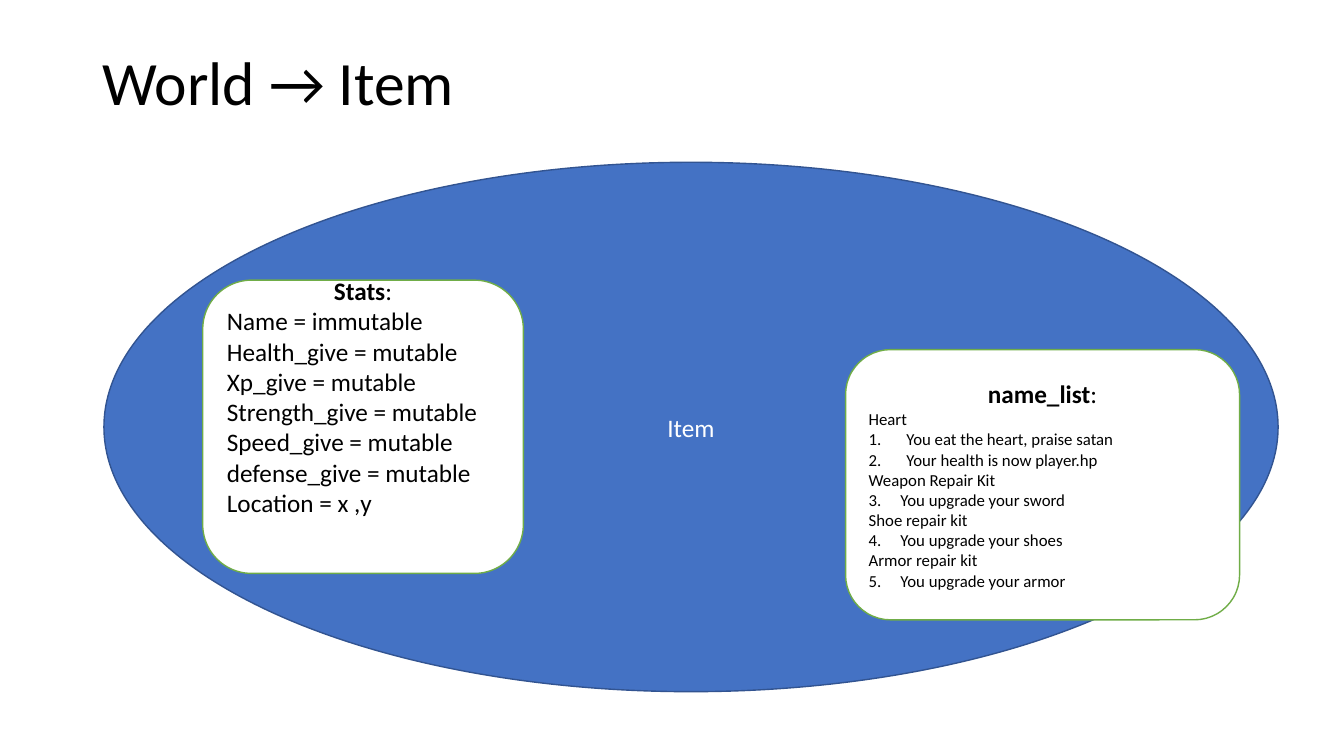
from dataclasses import dataclass

from lxml.etree import SubElement
from pptx import Presentation
from pptx.dml.color import RGBColor
from pptx.enum.shapes import MSO_SHAPE
from pptx.enum.text import MSO_ANCHOR, MSO_AUTO_SIZE, PP_ALIGN
from pptx.oxml.ns import qn
from pptx.util import Cm, Pt

BLACK = RGBColor(0x00, 0x00, 0x00)
WHITE = RGBColor(0xFF, 0xFF, 0xFF)
BLUE = RGBColor(0x44, 0x72, 0xC4)
DARK_BLUE = RGBColor(0x32, 0x54, 0x91)
GREEN = RGBColor(0x70, 0xAD, 0x47)
FONT = "Calibri"


@dataclass
class Line:
    text: str
    number: int = 0  # list number, 0 for plain text
    start: int = 0  # number its list starts at
    indent: float = 0.8


@dataclass
class Card:
    box: tuple[float, float, float, float]
    heading: str
    lines: list[Line]
    size: int
    bottom: float = 0.13


CARDS = [
    Card((5.11, 7.06, 8.08, 7.39), "Stats", [
        Line("Name = immutable"),
        Line("Health_give = mutable"),
        Line("Xp_give = mutable"),
        Line("Strength_give = mutable"),
        Line("Speed_give = mutable"),
        Line("defense_give = mutable"),
        Line("Location = x ,y"),
    ], size=18, bottom=1.65),
    Card((21.31, 8.81, 9.93, 6.81), "name_list", [
        Line("Heart"),
        Line("You eat the heart, praise satan", 1, 1, 0.95),
        Line("Your health is now player.hp", 2, 1, 0.95),
        Line("Weapon Repair Kit"),
        Line("You upgrade your sword", 3, 3),
        Line("Shoe repair kit"),
        Line("You upgrade your shoes", 4, 4),
        Line("Armor repair kit"),
        Line("You upgrade your armor", 5, 5),
    ], size=12),
]


def format_run(r, size: int, color: RGBColor, bold: bool = False) -> None:
    r.font.name = FONT
    r.font.size = Pt(size)
    r.font.bold = bold
    r.font.color.rgb = color


def add_box(s, kind: MSO_SHAPE, box: tuple, fill: RGBColor, line: RGBColor):
    sp = s.shapes.add_shape(kind, *(Cm(v) for v in box))
    sp.shadow.inherit = False
    sp.fill.solid()
    sp.fill.fore_color.rgb = fill
    sp.line.color.rgb = line
    sp.line.width = Pt(1)
    sp.text_frame.word_wrap = True
    sp.text_frame.vertical_anchor = MSO_ANCHOR.MIDDLE
    return sp


def set_number(p, line: Line) -> None:
    pPr = p._p.get_or_add_pPr()
    pPr.set("marL", str(Cm(line.indent)))
    pPr.set("indent", str(-Cm(line.indent)))
    bullet = SubElement(pPr, qn("a:buAutoNum"), type="arabicPeriod")
    if line.start > 1:
        bullet.set("startAt", str(line.start))


def add_card(s, card: Card) -> None:
    tf = add_box(s, MSO_SHAPE.ROUNDED_RECTANGLE, card.box, WHITE, GREEN).text_frame
    tf.margin_bottom = Cm(card.bottom)
    p = tf.paragraphs[0]
    p.alignment = PP_ALIGN.CENTER
    for text, bold in ((card.heading, True), (":", False)):
        r = p.add_run()
        r.text = text
        format_run(r, 18, BLACK, bold)
    for line in card.lines:
        p = tf.add_paragraph()
        p.text = line.text
        p.alignment = PP_ALIGN.LEFT
        format_run(p.runs[0], card.size, BLACK)
        if line.number:
            set_number(p, line)


prs = Presentation()
prs.slide_width, prs.slide_height = Cm(33.87), Cm(19.05)
s = prs.slides.add_slide(prs.slide_layouts[5])

# Title
title = s.shapes.title
title.left, title.top, title.width, title.height = Cm(2.33), Cm(1.02), Cm(29.21), Cm(2.26)
tf = title.text_frame
tf.text = "World → Item"
tf.auto_size = MSO_AUTO_SIZE.NONE
tf.vertical_anchor = MSO_ANCHOR.MIDDLE
p = tf.paragraphs[0]
p.alignment = PP_ALIGN.LEFT
p.line_spacing = 0.9
format_run(p.runs[0], 44, BLACK)

# Item ellipse
ellipse = add_box(s, MSO_SHAPE.OVAL, (2.62, 4.09, 29.59, 13.34), BLUE, DARK_BLUE)
ellipse.text_frame.text = "Item"
p = ellipse.text_frame.paragraphs[0]
p.alignment = PP_ALIGN.CENTER
format_run(p.runs[0], 18, WHITE)

# Cards
for card in CARDS:
    add_card(s, card)

prs.save("out.pptx")
